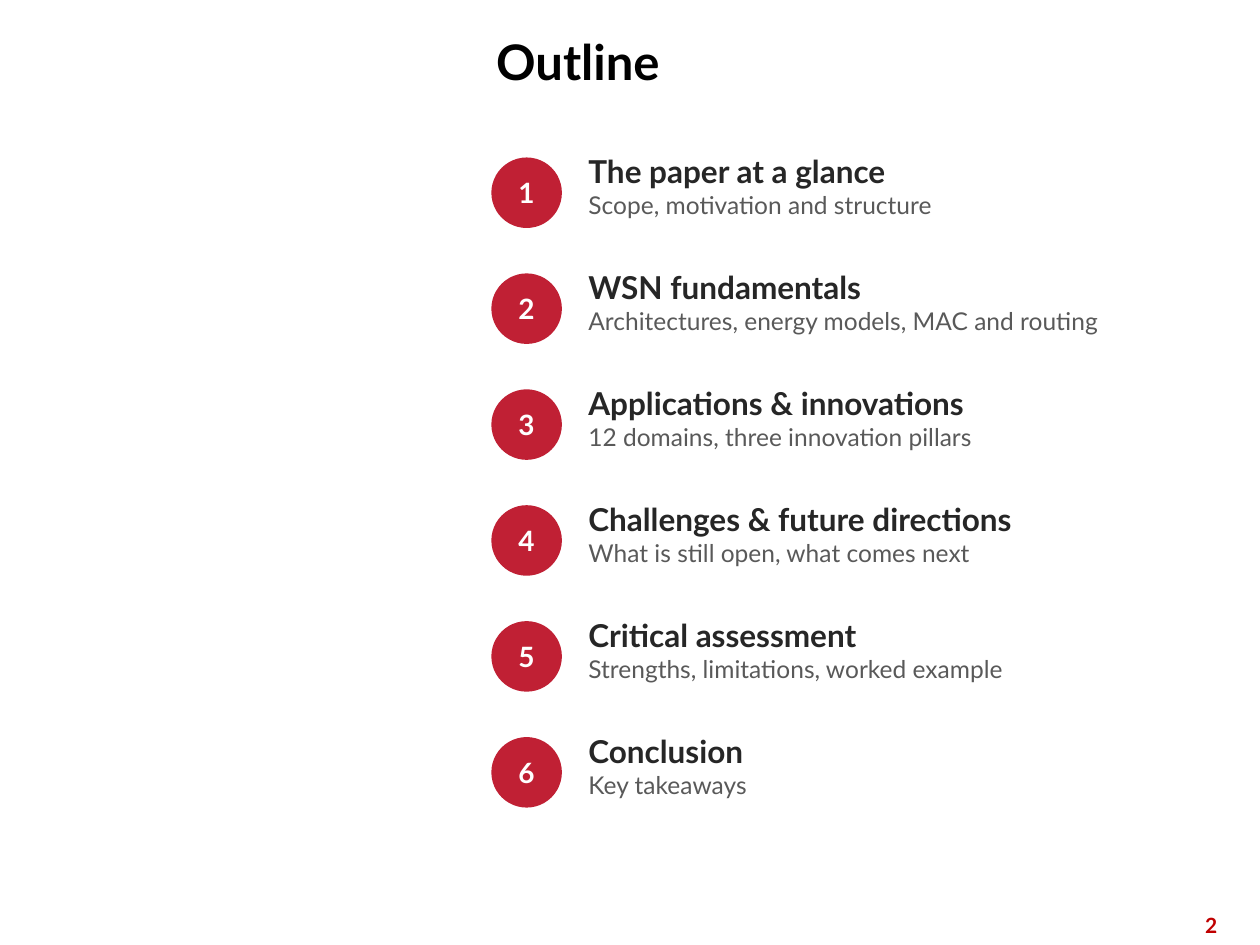
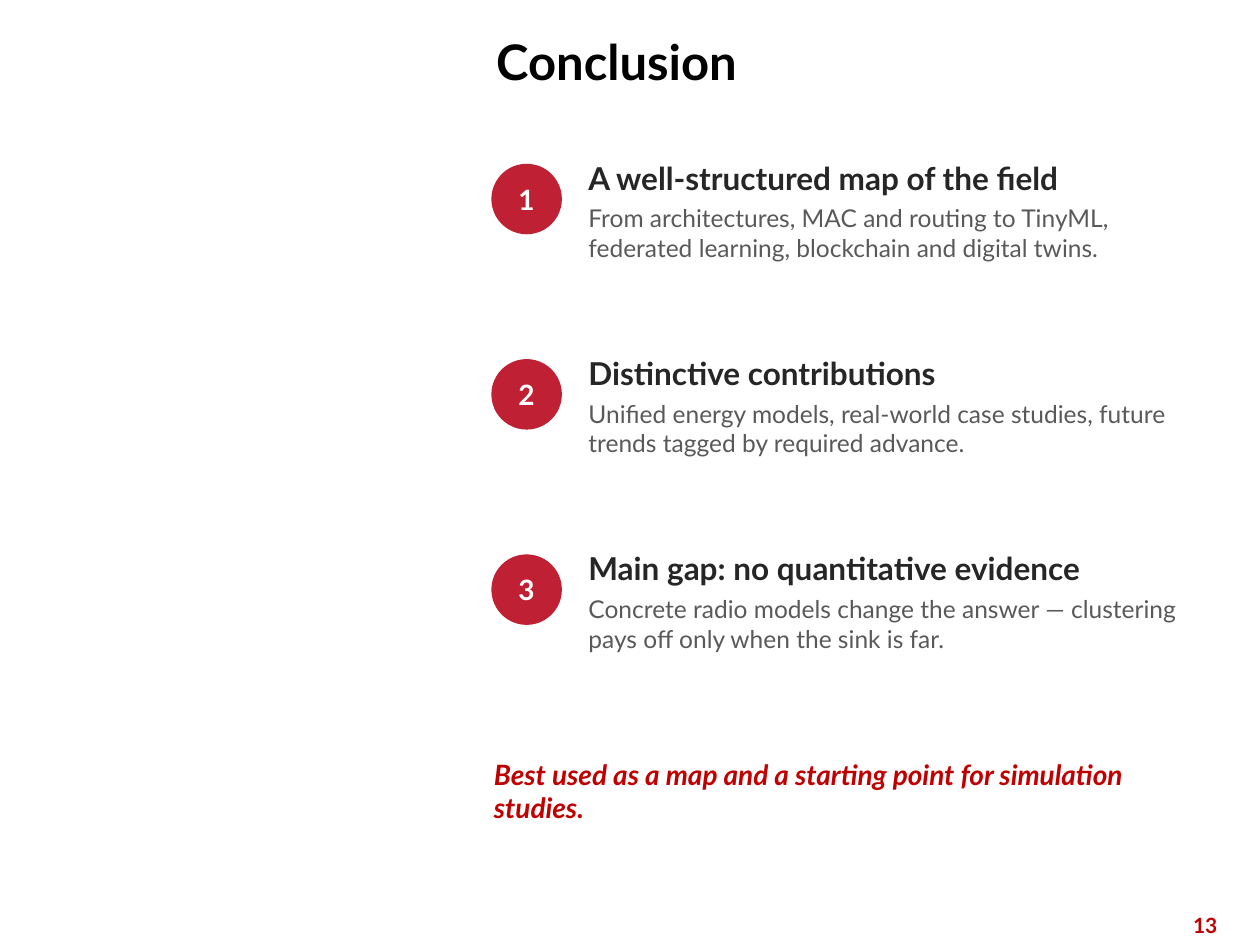
"""Build the outline and conclusion slides of a paper review on wireless sensor networks."""

from dataclasses import dataclass

import pptx
import pptx.dml.color
import pptx.enum.shapes
import pptx.enum.text
import pptx.util

Inches = pptx.util.Inches
Align = pptx.enum.text.PP_ALIGN
Anchor = pptx.enum.text.MSO_ANCHOR

FONT = "Lato"
COLORS = {
    "paper": "FFFFFF",
    "title": "000000",
    "badge": "C02034",
    "accent": "C00000",
    "heading": "262626",
    "detail": "595959",
}
BADGE_LEFT = 3.9
BADGE_SIZE = 0.56
ITEM_LEFT = 4.65
ITEM_WIDTH = 4.9
ITEM_RISE = 0.05
PARAGRAPH_GAP = 4
TEXT_INSETS = (0.02, 0.01, 0.02, 0.01)


@dataclass(frozen=True)
class Style:
    size: int
    color: str
    bold: bool = True
    italic: bool = False


TITLE = Style(28, "title")
PAGE_NUMBER = Style(12, "accent")
BADGE_NUMBER = Style(16, "paper")
HEADING = Style(18, "heading")
DETAIL = Style(14, "detail", bold=False)
VERDICT = Style(16, "accent", italic=True)


@dataclass(frozen=True)
class Line:
    text: str
    style: Style
    after: int = 0
    align: Align = Align.LEFT
    spacing: float = 1.0


@dataclass(frozen=True)
class Item:
    heading: str
    detail: str


@dataclass(frozen=True)
class ItemList:
    items: tuple[Item, ...]
    top: float
    pitch: float
    height: float
    heading_gap: int


OUTLINE = ItemList(
    items=(
        Item("The paper at a glance", "Scope, motivation and structure"),
        Item("WSN fundamentals", "Architectures, energy models, MAC and routing"),
        Item("Applications & innovations", "12 domains, three innovation pillars"),
        Item("Challenges & future directions", "What is still open, what comes next"),
        Item("Critical assessment", "Strengths, limitations, worked example"),
        Item("Conclusion", "Key takeaways"),
    ),
    top=1.25, pitch=0.92, height=0.8, heading_gap=0,
)
TAKEAWAYS = ItemList(
    items=(
        Item("A well-structured map of the field",
             "From architectures, MAC and routing to TinyML, federated learning, "
             "blockchain and digital twins."),
        Item("Distinctive contributions",
             "Unified energy models, real-world case studies, future trends "
             "tagged by required advance."),
        Item("Main gap: no quantitative evidence",
             "Concrete radio models change the answer — clustering pays off "
             "only when the sink is far."),
    ),
    top=1.3, pitch=1.55, height=1.4, heading_gap=PARAGRAPH_GAP,
)


def rgb(name: str) -> pptx.dml.color.RGBColor:
    return pptx.dml.color.RGBColor.from_string(COLORS[name])


def write(shape, lines: list[Line], insets: tuple[float, ...], anchor=Anchor.TOP) -> None:
    frame = shape.text_frame
    frame.word_wrap = True
    frame.vertical_anchor = anchor
    frame.margin_left, frame.margin_top, frame.margin_right, frame.margin_bottom = map(
        Inches, insets)
    for index, line in enumerate(lines):
        para = frame.add_paragraph() if index else frame.paragraphs[0]
        para.alignment = line.align
        para.line_spacing = line.spacing
        para.space_after = pptx.util.Pt(line.after)
        span = para.add_run()
        span.text = line.text
        span.font.name = FONT
        span.font.size = pptx.util.Pt(line.style.size)
        span.font.bold = line.style.bold
        span.font.italic = line.style.italic
        span.font.color.rgb = rgb(line.style.color)


def add_text(page, left: float, top: float, width: float, height: float,
             lines: list[Line], insets: tuple[float, ...] = TEXT_INSETS) -> None:
    box = page.shapes.add_textbox(Inches(left), Inches(top), Inches(width), Inches(height))
    write(box, lines, insets)


def add_badge(page, number: int, top: float) -> None:
    badge = page.shapes.add_shape(
        pptx.enum.shapes.MSO_SHAPE.OVAL, Inches(BADGE_LEFT), Inches(top),
        Inches(BADGE_SIZE), Inches(BADGE_SIZE))
    badge.shadow.inherit = False
    badge.fill.solid()
    badge.fill.fore_color.rgb = rgb("badge")
    badge.line.fill.background()
    number_line = Line(str(number), BADGE_NUMBER, PARAGRAPH_GAP, Align.CENTER)
    write(badge, [number_line], (0, 0, 0, 0), Anchor.MIDDLE)


def add_items(page, item_list: ItemList) -> None:
    for index, item in enumerate(item_list.items):
        top = item_list.top + index * item_list.pitch
        add_badge(page, index + 1, top)
        add_text(page, ITEM_LEFT, top - ITEM_RISE, ITEM_WIDTH, item_list.height, [
            Line(item.heading, HEADING, item_list.heading_gap),
            Line(item.detail, DETAIL, PARAGRAPH_GAP),
        ])


def add_page(deck, title: str, number: int, item_list: ItemList):
    page = deck.slides.add_slide(deck.slide_layouts[6])
    page.background.fill.solid()
    page.background.fill.fore_color.rgb = rgb("paper")
    frame_insets = (0.1, 0.05, 0.1, 0.05)
    add_text(page, 3.84, 0.25, 5.9, 0.49, [Line(title, TITLE, spacing=0.9)], frame_insets)
    add_text(page, 7.51, 7.19, 2.25, 0.4,
             [Line(str(number), PAGE_NUMBER, align=Align.RIGHT)], frame_insets)
    add_items(page, item_list)
    return page


def main() -> None:
    deck = pptx.Presentation()
    deck.slide_width = Inches(10)
    deck.slide_height = Inches(7.5)
    add_page(deck, "Outline", 2, OUTLINE)
    conclusion = add_page(deck, "Conclusion", 13, TAKEAWAYS)
    add_text(conclusion, BADGE_LEFT, 6, 5.65, 0.7, [
        Line("Best used as a map and a starting point for simulation studies.",
             VERDICT, PARAGRAPH_GAP),
    ])
    deck.save("out.pptx")


if __name__ == "__main__":
    main()
